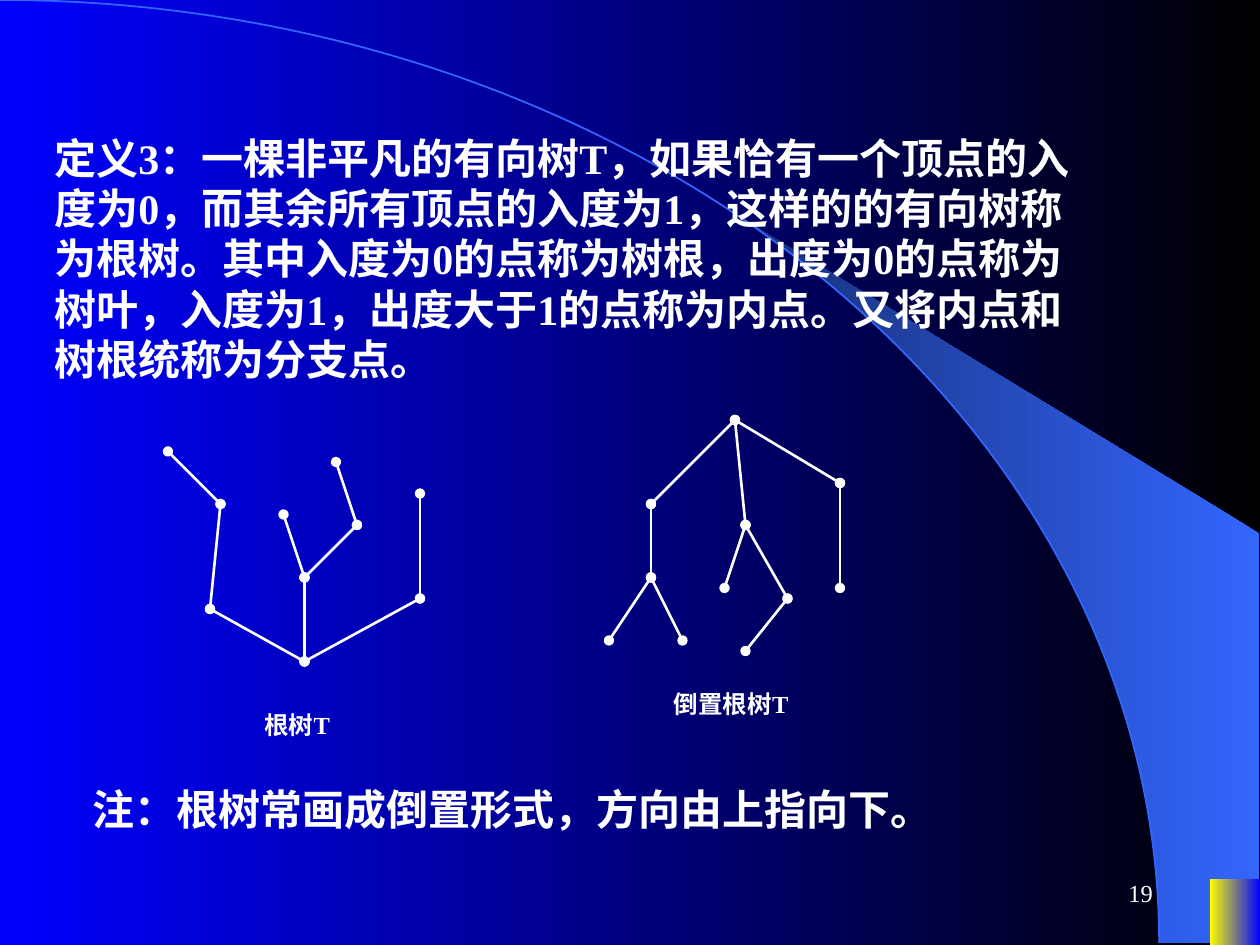
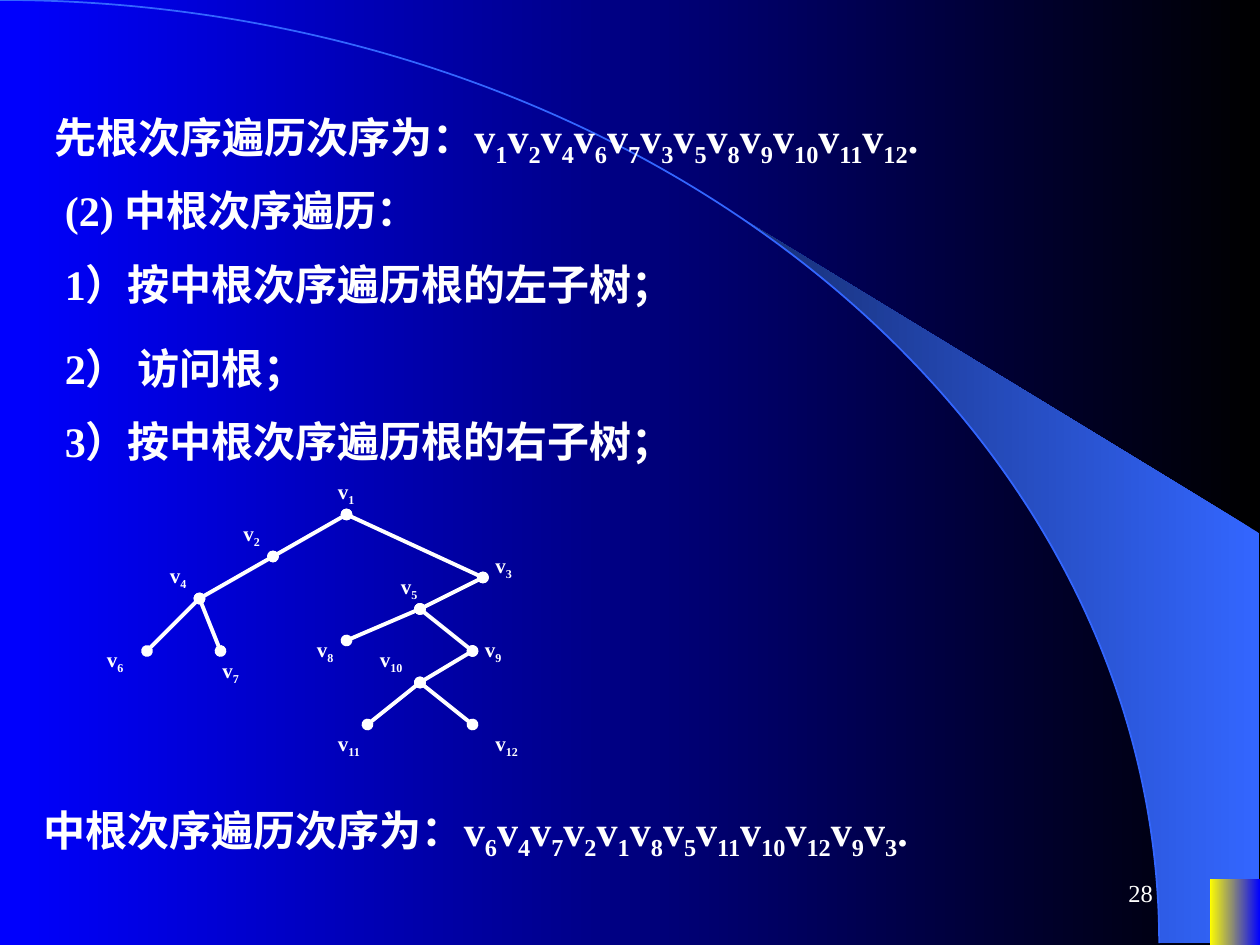
from dataclasses import dataclass
from math import asin, cos, pi, sin
from typing import NamedTuple

from pptx import Presentation
from pptx.dml.color import RGBColor
from pptx.enum.lang import MSO_LANGUAGE_ID
from pptx.enum.shapes import MSO_CONNECTOR, MSO_SHAPE
from pptx.enum.text import MSO_ANCHOR, MSO_AUTO_SIZE, PP_ALIGN
from pptx.oxml.ns import qn
from pptx.util import Inches, Pt
from lxml.etree import SubElement

CELL = Inches(1) // 12
COLUMNS, ROWS = 120, 90


@dataclass(frozen=True)
class Theme:
    font: str = "Times New Roman"
    ink: str = "FFFFFF"
    backdrop: tuple = ("000000", "0000FF")
    arc: str = "3366FF"
    sweep: tuple = ("3366FF", "172F75")
    corner: tuple = ("0000FF", "FFFF00")
    body: int = 24
    caption: int = 14
    vertex: int = 12
    thin_edge: float = 1.5
    thick_edge: float = 2.25


THEME = Theme()


class Box(NamedTuple):
    """A rectangle in grid cells."""
    left: float
    top: float
    width: float
    height: float

    def inner(self, left, top, width, height):
        return Box(self.left + left, self.top + top, width, height)

    def emu(self):
        return [cells(length) for length in self]


class Vertex(NamedTuple):
    """A tree vertex; label_dx and label_dy lead from it to its label."""
    x: float
    y: float
    parent: str = ""
    label_dx: float = 0
    label_dy: float = 0


SLIDE = Box(0, 0, COLUMNS, ROWS)


def cells(count):
    return round(count * CELL)


def set_gradient(fill, colours):
    """Run the colours from right to left."""
    fill.gradient()
    fill.gradient_angle = 180
    for stop, position, colour in zip(fill.gradient_stops, (0, 1), colours):
        stop.position = position
        stop.color.rgb = RGBColor.from_string(colour)


def add_text(slide, box, text, size=THEME.body, bold=True, indent=0,
             align=PP_ALIGN.LEFT, anchor=MSO_ANCHOR.TOP, grow=True):
    """Write text in which every second part between bars is a subscript."""
    frame = slide.shapes.add_textbox(*box.emu()).text_frame
    frame.word_wrap = True
    frame.vertical_anchor = anchor
    frame.auto_size = MSO_AUTO_SIZE.SHAPE_TO_FIT_TEXT if grow else MSO_AUTO_SIZE.NONE
    paragraph = frame.paragraphs[0]
    paragraph.alignment = align
    if indent:
        paragraph._p.get_or_add_pPr().set("marL", str(cells(indent)))
    for index, part in enumerate(text.split("|")):
        if not part:
            continue
        run = paragraph.add_run()
        run.text = part
        run.font.name = THEME.font
        run.font.size = Pt(size)
        run.font.bold = bold
        run.font.color.rgb = RGBColor.from_string(THEME.ink)
        run.font.language_id = MSO_LANGUAGE_ID.SIMPLIFIED_CHINESE
        if index % 2:
            run._r.get_or_add_rPr().set("baseline", "-25000")


def add_edge(slide, start, end, width):
    edge = slide.shapes.add_connector(
        MSO_CONNECTOR.STRAIGHT, *(cells(length) for length in (*start, *end)))
    edge.line.color.rgb = RGBColor.from_string(THEME.ink)
    edge.line.width = Pt(width)
    properties = edge._element.spPr
    for end_tag in ("a:headEnd", "a:tailEnd"):
        SubElement(properties.find(qn("a:ln")), qn(end_tag), type="oval")
    SubElement(properties, qn("a:effectLst"))


def add_sweep(slide, box):
    """Draw the arc and the band that opens between it and the right edge."""
    radius_x, radius_y = 0.92 * box.width, 0.998 * box.height
    right, bottom = box.left + 0.999 * box.width, box.top + radius_y
    start_angle, steps = asin(0.64), 24
    angles = [start_angle + (pi / 2 - start_angle) * step / steps
              for step in range(steps + 1)]
    outline = [(box.left + radius_x * sin(angle), bottom - radius_y * cos(angle))
               for angle in angles]
    outline += [(right, bottom), (right, box.top + 0.564 * box.height)]
    points = [(cells(x), cells(y)) for x, y in outline]
    builder = slide.shapes.build_freeform(*points[0], scale=1.0)
    builder.add_line_segments(points[1:], close=True)
    band = builder.convert_to_shape()
    band.shadow.inherit = False
    set_gradient(band.fill, THEME.sweep)
    band.line.fill.background()

    ellipse = box.inner(-radius_x, 0, 2 * radius_x, 2 * radius_y)
    arc = slide.shapes.add_shape(MSO_SHAPE.ARC, *ellipse.emu())
    arc.shadow.inherit = False
    arc.fill.background()
    arc.line.color.rgb = RGBColor.from_string(THEME.arc)
    arc.line.width = Pt(1)


def add_base_slide(deck, number):
    slide = deck.slides.add_slide(deck.slide_layouts[6])
    set_gradient(slide.background.fill, THEME.backdrop)
    add_sweep(slide, SLIDE)
    width, height = 0.04 * COLUMNS, 0.07 * ROWS
    corner_box = SLIDE.inner(COLUMNS - width, ROWS - height, width, height)
    corner = slide.shapes.add_shape(MSO_SHAPE.RECTANGLE, *corner_box.emu())
    corner.shadow.inherit = False
    set_gradient(corner.fill, THEME.corner)
    corner.line.fill.background()
    add_text(slide, SLIDE.inner(86, 82, 25, 6), str(number), size=THEME.caption,
             bold=False, align=PP_ALIGN.RIGHT, anchor=MSO_ANCHOR.MIDDLE, grow=False)
    return slide


def add_tree(slide, box, tree, edge_width):
    def spot(vertex):
        return box.left + vertex.x, box.top + vertex.y

    for vertex in tree.values():
        if vertex.parent:
            add_edge(slide, spot(tree[vertex.parent]), spot(vertex), edge_width)


def add_captioned_tree(slide, box, tree, caption, caption_left):
    add_tree(slide, box, tree, THEME.thin_edge)
    add_text(slide, box.inner(caption_left, box.height - 4, 16.2, 4), caption,
             size=THEME.caption)


def add_labelled_tree(slide, box, tree):
    add_tree(slide, box, tree, THEME.thick_edge)
    for number, vertex in tree.items():
        label_box = box.inner(vertex.x + vertex.label_dx, vertex.y + vertex.label_dy,
                              4.2 if len(number) == 1 else 6, 4)
        add_text(slide, label_box, f"v|{number}|", size=THEME.vertex)


def vertex_sequence(*numbers):
    return "".join(f"v|{number}|" for number in numbers) + "."


UPRIGHT_TREE = {
    "root": Vertex(13, 20),
    "left": Vertex(4, 15, "root"),
    "middle": Vertex(13, 12, "root"),
    "right": Vertex(24, 14, "root"),
    "left stem": Vertex(5, 5, "left"),
    "left leaf": Vertex(0, 0, "left stem"),
    "middle leaf": Vertex(11, 6, "middle"),
    "middle stem": Vertex(18, 7, "middle"),
    "top leaf": Vertex(16, 1, "middle stem"),
    "right leaf": Vertex(24, 4, "right"),
}
INVERTED_TREE = {
    "root": Vertex(12, 0),
    "left": Vertex(4, 8, "root"),
    "middle": Vertex(13, 10, "root"),
    "right": Vertex(22, 6, "root"),
    "left stem": Vertex(4, 15, "left"),
    "first leaf": Vertex(0, 21, "left stem"),
    "second leaf": Vertex(7, 21, "left stem"),
    "middle leaf": Vertex(11, 16, "middle"),
    "middle stem": Vertex(17, 17, "middle"),
    "bottom leaf": Vertex(13, 22, "middle stem"),
    "right leaf": Vertex(22, 16, "right"),
}
BINARY_TREE = {
    "1": Vertex(19, 0, "", -2, -4),
    "2": Vertex(12, 4, "1", -4, -4),
    "3": Vertex(32, 6, "1", 0, -3),
    "4": Vertex(5, 8, "2", -4, -4),
    "5": Vertex(26, 9, "3", -3, -4),
    "6": Vertex(0, 13, "4", -5, -1),
    "7": Vertex(7, 13, "4", -1, 0),
    "8": Vertex(19, 12, "5", -4, -1),
    "9": Vertex(31, 13, "5", 0, -2),
    "10": Vertex(26, 16, "9", -5, -4),
    "11": Vertex(21, 20, "10", -4, 0),
    "12": Vertex(31, 20, "10", 1, 0),
}


def rooted_tree_slide(deck):
    slide = add_base_slide(deck, 19)
    add_text(slide, SLIDE.inner(4, 12, 101, 25.2),
             "定义3：一棵非平凡的有向树T，如果恰有一个顶点的入度为0，"
             "而其余所有顶点的入度为1，这样的的有向树称为根树。"
             "其中入度为0的点称为树根，出度为0的点称为树叶，"
             "入度为1，出度大于1的点称为内点。又将内点和树根统称为分支点。")
    add_captioned_tree(slide, SLIDE.inner(58, 40, 22, 29), INVERTED_TREE, "倒置根树T", 5)
    add_captioned_tree(slide, SLIDE.inner(16, 43, 24, 28), UPRIGHT_TREE, "根树T", 8)
    add_text(slide, SLIDE.inner(3, 74, 105, 6),
             "注：根树常画成倒置形式，方向由上指向下。", indent=4.6)


def traversal_slide(deck):
    slide = add_base_slide(deck, 28)
    preorder = vertex_sequence(1, 2, 4, 6, 7, 3, 5, 8, 9, 10, 11, 12)
    inorder = vertex_sequence(6, 4, 7, 2, 1, 8, 5, 11, 10, 12, 9, 3)
    add_text(slide, SLIDE.inner(4, 10, 105, 6.7), "先根次序遍历次序为：" + preorder)
    steps = {
        17: "(2) 中根次序遍历：",
        24: "1）按中根次序遍历根的左子树；",
        32: "2） 访问根；",
        39: "3）按中根次序遍历根的右子树；",
    }
    for row, step in steps.items():
        add_text(slide, SLIDE.inner(4, row, 105, 6), step, indent=1)
    add_labelled_tree(slide, SLIDE.inner(14, 49, 32, 20), BINARY_TREE)
    add_text(slide, SLIDE.inner(3, 76, 105, 6.7), "中根次序遍历次序为：" + inorder)


def main():
    deck = Presentation()
    deck.slide_width, deck.slide_height = cells(COLUMNS), cells(ROWS)
    rooted_tree_slide(deck)
    traversal_slide(deck)
    deck.save("out.pptx")


if __name__ == "__main__":
    main()
